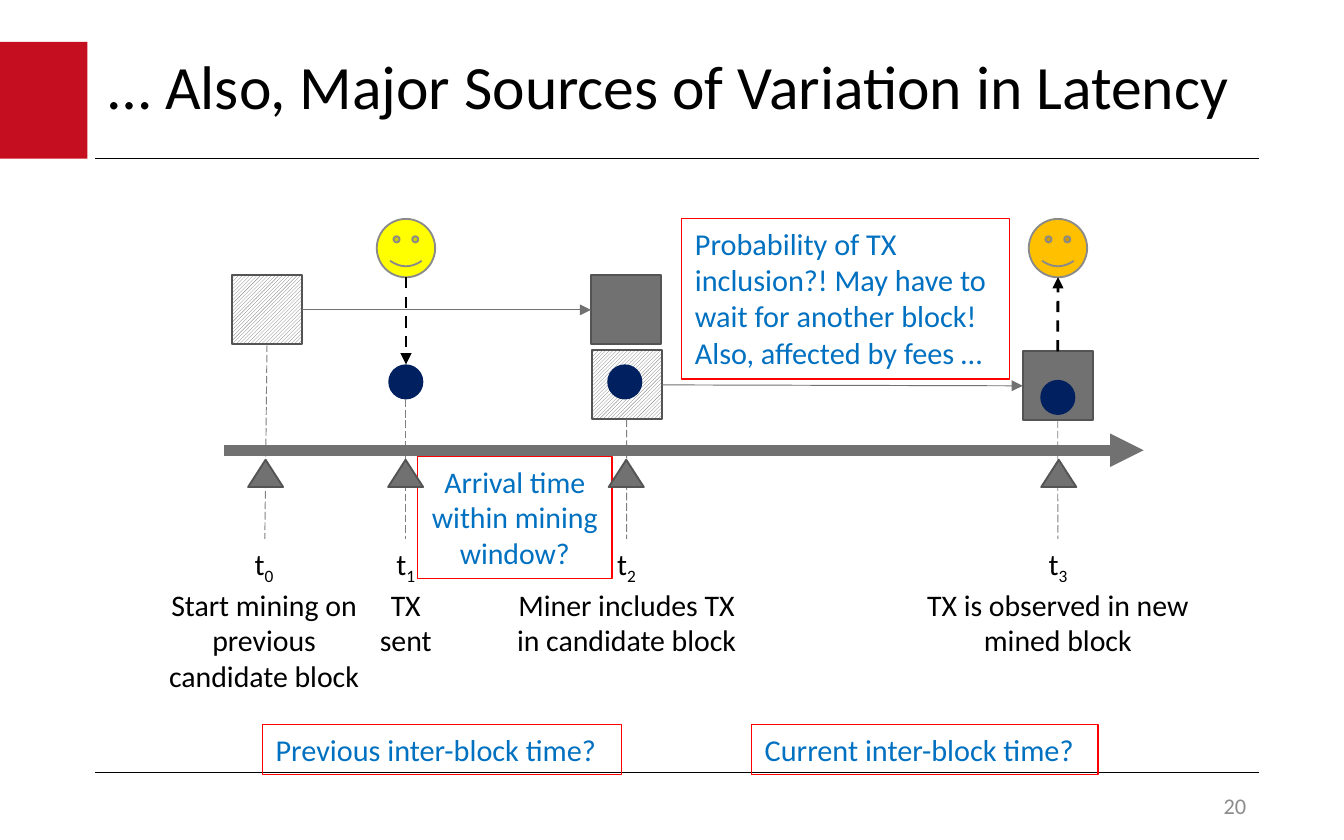
from dataclasses import dataclass
from typing import Any, Optional

import lxml.etree
import pptx
import pptx.dml.color
import pptx.enum.dml
import pptx.enum.shapes
import pptx.enum.text
import pptx.oxml.ns
import pptx.util

Pt = pptx.util.Pt
Kind = pptx.enum.shapes.MSO_SHAPE
Align = pptx.enum.text.PP_ALIGN
Dash = pptx.enum.dml.MSO_LINE

FONT = "Calibri"
BLACK, GRAY, OUTLINE = "000000", "717171", "545454"
NAVY, RED, BLUE = "002060", "FF0000", "0070C0"
AXIS_Y = 241.2
BLOCK_WIDTH, BLOCK_HEIGHT = 37.5, 37
DOT_SIZE, FACE_SIZE = 18.8, 31.3
MARKER_WIDTH, MARKER_HEIGHT, MARKER_TOP = 18.8, 14.6, 246.3
LABEL_TOP = 288.7


@dataclass
class Moment:
    marker_x: float
    guide_x: float
    guide_top: float
    label_left: float
    label_width: float
    label: str
    block: Optional[str] = None


@dataclass
class Block:
    left: float
    top: float
    hatched: bool


@dataclass
class Note:
    left: float
    top: float
    width: float
    height: float
    text: str
    size: float = 16.2
    align: Any = Align.LEFT


BLOCKS = {
    "previous candidate": Block(124.3, 147.5, True),
    "previous mined": Block(316.6, 147.5, False),
    "candidate": Block(317, 187.7, True),
    "mined": Block(547.9, 188.2, False),
}
MOMENTS = [
    Moment(142.3, 141.9, 184.5, 82, 119, "Start mining on previous candidate block", "previous candidate"),
    Moment(217.3, 217.4, 214, 188.6, 57.6, "TX sent"),
    Moment(335.5, 335.7, 224.7, 268.4, 134.6, "Miner includes TX in candidate block", "candidate"),
    Moment(567.2, 566.7, 225.2, 488, 157.5, "TX is observed in new mined block", "mined"),
]
DOTS = [(217.4, 204.6), (334.7, 204.6), (566.7, 212.9)]
FACES = [(217.5, "FFFF00"), (566.8, "FFC000")]
NOTES = [
    Note(365.2, 117, 175.6, 86,
         "Probability of TX\vinclusion?! May have to\vwait for another block!\vAlso, affected by fees …"),
    Note(223.7, 244.7, 104.2, 65.3, "Arrival time\vwithin mining\vwindow?", 16, Align.CENTER),
    Note(140.6, 388, 192.3, 26.9, "Previous inter-block time?"),
    Note(402.6, 388, 185.6, 26.9, "Current inter-block time?"),
]


def color(value: str) -> pptx.dml.color.RGBColor:
    return pptx.dml.color.RGBColor.from_string(value)


def add_figure(slide: Any, kind: Any, left: float, top: float, width: float, height: float,
               fill: str, outline: Optional[str] = None, hatched: bool = False) -> Any:
    shape = slide.shapes.add_shape(kind, Pt(left), Pt(top), Pt(width), Pt(height))
    shape.shadow.inherit = False
    if hatched:
        shape.fill.patterned()
        shape.fill.pattern = pptx.enum.dml.MSO_PATTERN.LIGHT_UPWARD_DIAGONAL
        shape.fill.fore_color.rgb = color(fill)
        shape.fill.back_color.rgb = color("FFFFFF")
    else:
        shape.fill.solid()
        shape.fill.fore_color.rgb = color(fill)
    if outline:
        shape.line.color.rgb = color(outline)
        shape.line.width = Pt(1)
    else:
        shape.line.fill.background()
    return shape


def add_line(slide: Any, x1: float, y1: float, x2: float, y2: float, stroke: str, width: float,
             dash: Any = None, arrow: bool = False) -> Any:
    connector = slide.shapes.add_connector(
        pptx.enum.shapes.MSO_CONNECTOR.STRAIGHT, Pt(x1), Pt(y1), Pt(x2), Pt(y2))
    connector.line.color.rgb = color(stroke)
    connector.line.width = Pt(width)
    if dash:
        connector.line.dash_style = dash
    properties = connector._element.spPr
    if arrow:
        outline = properties.find(pptx.oxml.ns.qn("a:ln"))
        lxml.etree.SubElement(outline, pptx.oxml.ns.qn("a:tailEnd"), type="triangle")
    lxml.etree.SubElement(properties, pptx.oxml.ns.qn("a:effectLst"))
    return connector


def format_text(text_frame: Any, size: float, text_color: str, align: Any) -> None:
    for paragraph in text_frame.paragraphs:
        paragraph.alignment = align
        for run in paragraph.runs:
            run.font.name = FONT
            run.font.size = Pt(size)
            run.font.color.rgb = color(text_color)


def add_text(slide: Any, left: float, top: float, width: float, height: float, text: str,
             size: float, text_color: str, align: Any, wrap: bool = True) -> Any:
    box = slide.shapes.add_textbox(Pt(left), Pt(top), Pt(width), Pt(height))
    box.text_frame.word_wrap = wrap
    box.text_frame.text = text
    format_text(box.text_frame, size, text_color, align)
    return box


def add_note(slide: Any, note: Note) -> None:
    box = add_text(slide, note.left, note.top, note.width, note.height, note.text,
                   note.size, BLUE, note.align, wrap=False)
    box.line.color.rgb = color(RED)
    box.line.width = Pt(0.75)


def add_moment_label(slide: Any, index: int, moment: Moment) -> None:
    box = add_text(slide, moment.label_left, LABEL_TOP, moment.label_width, 65.5,
                   f"t\n{moment.label}", 16, BLACK, Align.CENTER)
    subscript = box.text_frame.paragraphs[0].add_run()
    subscript.text = str(index)
    format_text(box.text_frame, 16, BLACK, Align.CENTER)
    subscript.font._element.set("baseline", "-25000")


def add_title(slide: Any, text: str) -> None:
    title = slide.shapes.title
    title.left, title.top, title.width, title.height = Pt(51.1), Pt(22.5), Pt(623.5), Pt(51)
    text_frame = title.text_frame
    text_frame.text = text
    text_frame.word_wrap = True
    text_frame.auto_size = pptx.enum.text.MSO_AUTO_SIZE.NONE
    text_frame.vertical_anchor = pptx.enum.text.MSO_ANCHOR.MIDDLE
    text_frame.paragraphs[0].line_spacing = 0.9
    format_text(text_frame, 33, BLACK, Align.LEFT)


def main() -> None:
    presentation = pptx.Presentation()
    presentation.slide_width, presentation.slide_height = Pt(720), Pt(450)
    slide = presentation.slides.add_slide(presentation.slide_layouts[5])

    add_figure(slide, Kind.RECTANGLE, 0, 22.5, 46.8, 62.6, "C50E1F")
    for rule_y in (85, 413.9):
        add_line(slide, 51.1, rule_y, 674.6, rule_y, BLACK, 0.75)
    add_title(slide, "… Also, Major Sources of Variation in Latency")

    blocks = {
        name: add_figure(slide, Kind.RECTANGLE, block.left, block.top, BLOCK_WIDTH, BLOCK_HEIGHT,
                         GRAY, OUTLINE, block.hatched)
        for name, block in BLOCKS.items()
    }
    for center_x, center_y in DOTS:
        add_figure(slide, Kind.OVAL, center_x - DOT_SIZE / 2, center_y - DOT_SIZE / 2,
                   DOT_SIZE, DOT_SIZE, NAVY)
    for center_x, fill in FACES:
        add_figure(slide, Kind.SMILEY_FACE, center_x - FACE_SIZE / 2, 117.3,
                   FACE_SIZE, FACE_SIZE, fill, "8A8A8A")

    add_line(slide, 217.5, 148.5, 217.5, 195.2, BLACK, 1.5, Dash.DASH, arrow=True)
    observed = add_line(slide, 566.7, 188.2, 566.8, 148.5, BLACK, 1.5, Dash.DASH, arrow=True)
    observed.begin_connect(blocks["mined"], 0)
    for start, end in (("previous candidate", "previous mined"), ("candidate", "mined")):
        mining = add_line(slide, 0, 0, 0, 0, GRAY, 0.5, arrow=True)
        mining.begin_connect(blocks[start], 3)
        mining.end_connect(blocks[end], 1)

    for note in NOTES:
        add_note(slide, note)
    for index, moment in enumerate(MOMENTS):
        guide = add_line(slide, moment.guide_x, moment.guide_top, moment.guide_x, LABEL_TOP,
                         "808080", 0.5, Dash.LONG_DASH)
        if moment.block:
            guide.begin_connect(blocks[moment.block], 2)
        add_figure(slide, Kind.ISOSCELES_TRIANGLE, moment.marker_x - MARKER_WIDTH / 2, MARKER_TOP,
                   MARKER_WIDTH, MARKER_HEIGHT, GRAY, OUTLINE)
        add_moment_label(slide, index, moment)
    add_line(slide, 120.2, AXIS_Y, 612.7, AXIS_Y, GRAY, 6, arrow=True)

    number = add_text(slide, 528.5, 422.6, 146.2, 18, "20", 12, "8C8C8C", Align.RIGHT)
    number.text_frame.vertical_anchor = pptx.enum.text.MSO_ANCHOR.MIDDLE

    presentation.save("out.pptx")


if __name__ == "__main__":
    main()
